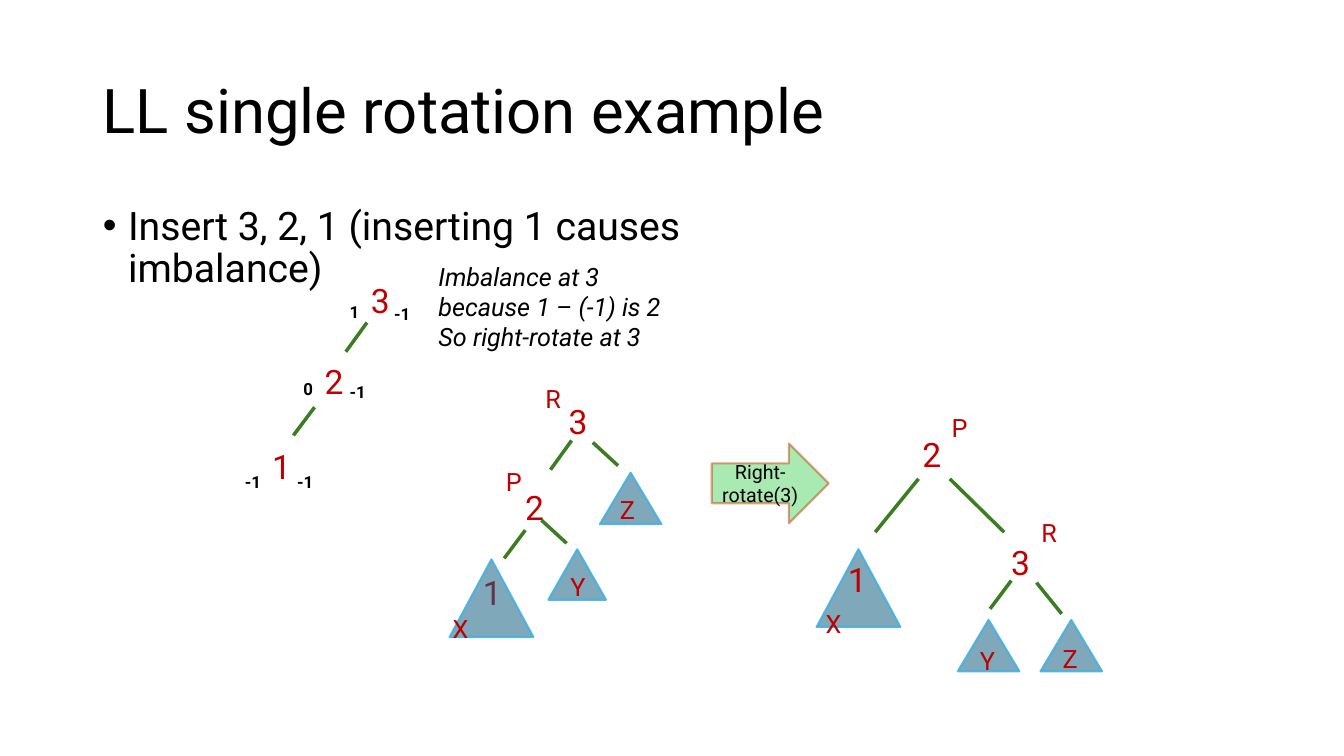
from dataclasses import dataclass
from pptx import Presentation
from pptx.dml.color import RGBColor
from pptx.enum import shapes as es, text as et
from pptx.oxml import xmlchemy as ox
from pptx.util import Inches, Pt


@dataclass(frozen=True)
class Theme:
    font: str = "Roboto"
    ink: str = "000000"
    red: str = "C00000"
    green: str = "3B7D23"
    teal: str = "156082"
    sky: str = "46B1E1"
    lime: str = "47D45A"
    rust: str = "C04F15"
    title: int = 44
    body: int = 28
    node: int = 24
    note: int = 18
    arrow: int = 14
    height: int = 12


T = Theme()


def write(frame, lines, size, color=T.ink, bold=False, italic=False,
          align=et.PP_ALIGN.LEFT, anchor=et.MSO_ANCHOR.TOP, space=1.0):
    frame.word_wrap = True
    frame.auto_size = et.MSO_AUTO_SIZE.NONE
    frame.vertical_anchor = anchor
    frame.text = lines
    for para in frame.paragraphs:
        para.alignment = align
        para.line_spacing = space
        para.space_before = Pt(0)
        for run in para.runs:
            font = run.font
            font.name, font.size = T.font, Pt(size)
            font.bold, font.italic = bold, italic
            font.color.rgb = RGBColor.from_string(color)


def place(shape, box):
    shape.left, shape.top, shape.width, shape.height = map(Inches, box)


def label(slide, box, lines, size, **style):
    write(slide.shapes.add_textbox(*map(Inches, box)).text_frame,
          lines, size, **style)


def fade(fill, color, alpha):
    """Set a solid colour with the given opacity in percent."""
    fill.solid()
    fill.fore_color.rgb = RGBColor.from_string(color)
    for tone in fill._xPr.iter("{*}srgbClr"):
        if tone.get("val") == color:
            ox.OxmlElement("a:alpha").set("val", "0")
            mark = ox.OxmlElement("a:alpha")
            mark.set("val", str(alpha * 1000))
            tone.append(mark)
            break


def solid(slide, kind, box, fill, line):
    shape = slide.shapes.add_shape(kind, *map(Inches, box))
    shape.shadow.inherit = False
    fade(shape.fill, *fill)
    fade(shape.line.fill, *line)
    shape.line.width = Pt(1.5)
    return shape


def nodes(slide, box, items):
    for key, x, y in items:
        label(slide, (box[0] + x, box[1] + y, 0.42, 0.5), key, T.node,
              color=T.red)


def names(slide, box, items):
    for name, x, y in items:
        label(slide, (box[0] + x, box[1] + y, 0.42, 0.4), name, T.note,
              color=T.red)


def edges(slide, box, items):
    """Draw branches given as start point plus run and drop."""
    for x, y, run, drop in items:
        x, y = box[0] + x, box[1] + y
        line = slide.shapes.add_connector(
            es.MSO_CONNECTOR.STRAIGHT,
            *map(Inches, (x, y, x + run, y + drop)))
        line.line.color.rgb = RGBColor.from_string(T.green)
        line.line.width = Pt(2.5)
        line._element.spPr.append(ox.OxmlElement("a:effectLst"))


def leaves(slide, box, items):
    """Draw the subtrees as triangles."""
    for x, y, wide, high in items:
        solid(slide, es.MSO_SHAPE.ISOSCELES_TRIANGLE,
              (box[0] + x, box[1] + y, wide, high),
              (T.teal, 54), (T.sky, 90))


def heading(slide, box):
    title = slide.shapes.title
    place(title, box)
    write(title.text_frame, "LL single rotation example", T.title,
          anchor=et.MSO_ANCHOR.MIDDLE, space=0.9)


def bullet(slide, box):
    body = slide.placeholders[1]
    place(body, box)
    write(body.text_frame, "Insert 3, 2, 1 (inserting 1 causes imbalance)",
          T.body, space=0.9)
    props = body.text_frame.paragraphs[0]._p.get_or_add_pPr()
    props.set("marL", str(Inches(0.25)))
    props.set("indent", str(Inches(-0.25)))


def chain(slide, box):
    """Draw the unbalanced chain with the heights beside each node."""
    nodes(slide, box, [("3", 1.25, 0), ("2", 0.79, 0.8), ("1", 0.27, 1.64)])
    edges(slide, box, [(1.31, 0.47, -0.21, 0.29), (0.79, 1.31, -0.21, 0.28)])
    for num, x, y in [("1", 1.04, 0.21), ("-1", 1.48, 0.23),
                      ("0", 0.58, 0.98), ("-1", 1.04, 1.01),
                      ("-1", 0, 1.9), ("-1", 0.52, 1.9)]:
        label(slide, (box[0] + x, box[1] + y, 0.46, 0.3), num, T.height,
              bold=True)


def before(slide, box):
    nodes(slide, box, [("3", 1.15, 0.18), ("2", 0.72, 1.03),
                       ("1", 0.3, 1.87)])
    edges(slide, box, [(1.28, 0.62, -0.21, 0.29), (0.82, 1.51, -0.21, 0.28),
                       (0.98, 1.41, 0.25, 0.23), (1.49, 0.64, 0.25, 0.23)])
    leaves(slide, box, [(0.07, 1.8, 0.83, 0.77), (1.05, 1.7, 0.57, 0.5),
                        (1.56, 0.94, 0.61, 0.51)])
    names(slide, box, [("Y", 1.17, 1.87), ("Z", 1.66, 1.1), ("X", 0, 2.29),
                       ("P", 0.53, 0.83), ("R", 0.92, 0)])


def after(slide, box):
    leaves(slide, box, [(0.01, 1.41, 0.83, 0.77), (2.23, 2.11, 0.61, 0.51),
                        (1.41, 2.11, 0.61, 0.51)])
    nodes(slide, box, [("3", 1.84, 1.29), ("2", 0.96, 0.22),
                       ("1", 0.22, 1.46)])
    edges(slide, box, [(1.94, 1.72, -0.21, 0.28), (2.19, 1.74, 0.25, 0.31),
                       (1.02, 0.71, -0.43, 0.53), (1.33, 0.71, 0.54, 0.53)])
    names(slide, box, [("Y", 1.53, 2.31), ("Z", 2.35, 2.29), ("X", 0, 1.95),
                       ("R", 2.14, 1.04), ("P", 1.25, 0)])


def arrow(slide, box):
    shape = solid(slide, es.MSO_SHAPE.RIGHT_ARROW, box,
                  (T.lime, 47), (T.rust, 53))
    write(shape.text_frame, "Right-rotate(3)", T.arrow,
          align=et.PP_ALIGN.CENTER, anchor=et.MSO_ANCHOR.MIDDLE)


def main():
    deck = Presentation()
    deck.slide_width, deck.slide_height = Inches(13.33), Inches(7.5)
    slide = deck.slides.add_slide(deck.slide_layouts[1])
    heading(slide, (0.92, 0.4, 11.5, 1.45))
    bullet(slide, (0.92, 2, 7.76, 0.53))
    chain(slide, (2.33, 2.73))
    before(slide, (4.39, 3.75))
    arrow(slide, (7.06, 4.4, 1.16, 0.79))
    after(slide, (8.09, 4.04))
    label(slide, (4.25, 2.54, 2.63, 1.01),
          "Imbalance at 3 because 1 – (-1) is 2\nSo right-rotate at 3",
          T.note, italic=True)
    deck.save("out.pptx")


if __name__ == "__main__":
    main()
